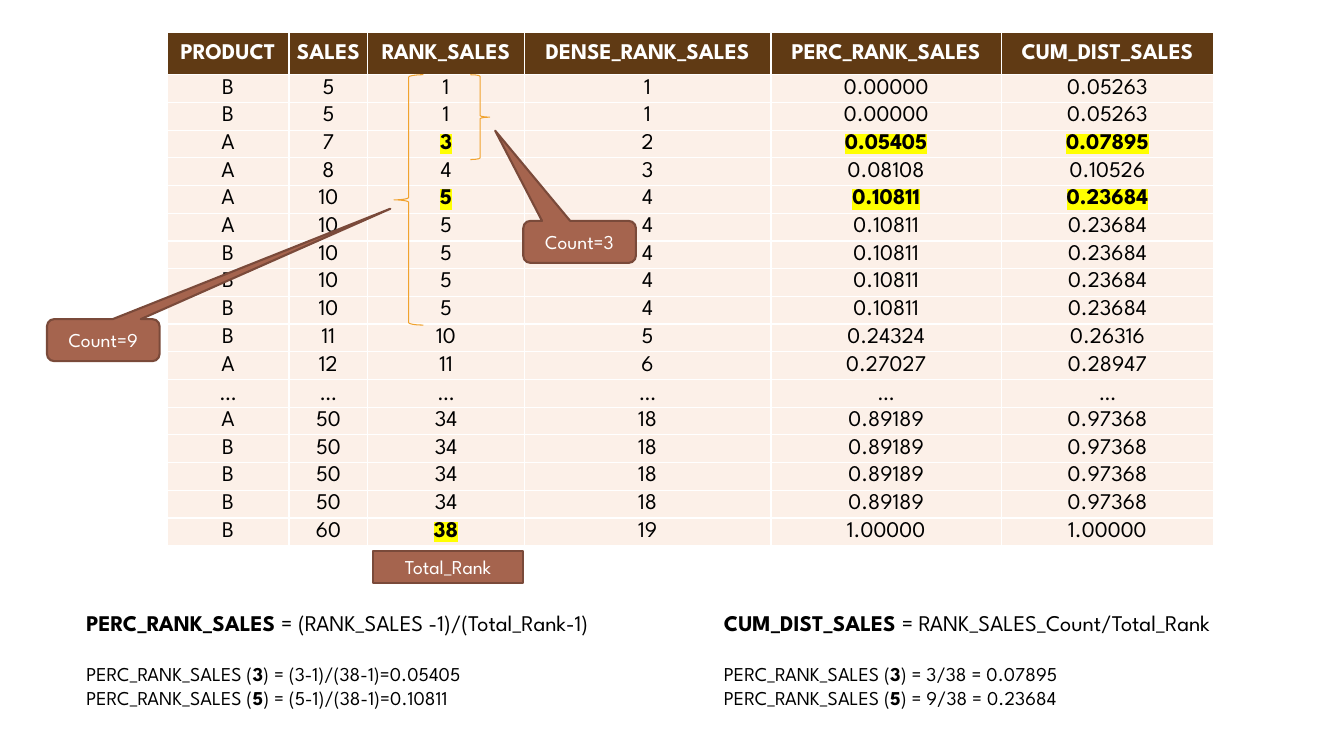
from lxml import etree
from pptx import Presentation
from pptx import util as u
from pptx.dml.color import RGBColor
from pptx.enum import shapes, text
from pptx.oxml.ns import qn

GRID_COLUMNS, GRID_ROWS = 160, 90
BROWN, CREAM, RUST, RUST_EDGE = "603A14", "FCF0E8", "A5644E", "7A4A3A"
ORANGE, YELLOW, BLACK, WHITE = "F0A22E", "FFFF00", "000000", "FFFFFF"

RANKINGS = [line.split() for line in """\
PRODUCT SALES RANK_SALES DENSE_RANK_SALES PERC_RANK_SALES CUM_DIST_SALES
B 5 1 1 0.00000 0.05263
B 5 1 1 0.00000 0.05263
A 7 3 2 0.05405 0.07895
A 8 4 3 0.08108 0.10526
A 10 5 4 0.10811 0.23684
A 10 5 4 0.10811 0.23684
B 10 5 4 0.10811 0.23684
B 10 5 4 0.10811 0.23684
B 10 5 4 0.10811 0.23684
B 11 10 5 0.24324 0.26316
A 12 11 6 0.27027 0.28947
… … … … … …
A 50 34 18 0.89189 0.97368
B 50 34 18 0.89189 0.97368
B 50 34 18 0.89189 0.97368
B 50 34 18 0.89189 0.97368
B 60 38 19 1.00000 1.00000""".splitlines()]
HIGHLIGHTED = {(3, 2), (3, 4), (3, 5), (5, 2), (5, 4), (5, 5), (17, 2)}
COLUMN_WIDTHS = [14.5, 9.4, 18.6, 29.4, 27.4, 25.3]
HEADER_HEIGHT, ROW_HEIGHT = 5, 3.3


def color(hex_string):
    return RGBColor.from_string(hex_string)


def add_fill_xml(parent, tag, hex_string, **attributes):
    """Append a child element that holds a colour, and return it."""
    element = etree.SubElement(parent, qn(tag), attributes)
    etree.SubElement(element, qn("a:srgbClr"), val=hex_string)
    return element


class Canvas:
    font_name = "League Spartan"

    def __init__(self, presentation):
        self.column = presentation.slide_width / GRID_COLUMNS
        self.row = presentation.slide_height / GRID_ROWS
        self.slide = presentation.slides.add_slide(presentation.slide_layouts[6])

    def box(self, left, top, width, height):
        """Turn grid units into slide lengths."""
        return (round(left * self.column), round(top * self.row),
                round(width * self.column), round(height * self.row))

    def style(self, paragraph, size, hex_string, bold=None, font_name=None,
              align=text.PP_ALIGN.CENTER):
        paragraph.alignment = align
        font = paragraph.font
        font.size, font.bold = u.Pt(size), bold
        font.name = font_name or self.font_name
        font.color.rgb = color(hex_string)

    def table(self, left, top, rows, widths, highlighted):
        height = HEADER_HEIGHT + ROW_HEIGHT * (len(rows) - 1)
        frame = self.slide.shapes.add_table(
            len(rows), len(widths), *self.box(left, top, sum(widths), height))
        table = frame.table
        for column, width in zip(table.columns, widths):
            column.width = round(width * self.column)
        for i, values in enumerate(rows):
            row_height = ROW_HEIGHT if i else HEADER_HEIGHT
            table.rows[i].height = round(row_height * self.row)
            for j, value in enumerate(values):
                self.cell(table.cell(i, j), value, i == 0, (i, j) in highlighted)

    def cell(self, cell, value, is_header, is_highlighted):
        cell.margin_left = cell.margin_right = cell.margin_top = cell.margin_bottom = 0
        cell.vertical_anchor = text.MSO_ANCHOR.MIDDLE
        properties = cell._tc.get_or_add_tcPr()
        for side in "LRTB":
            border = etree.SubElement(properties, qn(f"a:ln{side}"), w=str(u.Pt(1)))
            add_fill_xml(border, "a:solidFill", WHITE)
        cell.fill.solid()
        cell.fill.fore_color.rgb = color(BROWN if is_header else CREAM)
        paragraph = cell.text_frame.paragraphs[0]
        run = paragraph.add_run()
        run.text = value
        self.style(paragraph, 16, WHITE if is_header else BLACK,
                   bold=is_header or is_highlighted,
                   font_name="Calibri" if value == "…" else None)
        if is_highlighted:
            add_fill_xml(run._r.get_or_add_rPr(), "a:highlight", YELLOW)

    def shape(self, kind, place, line, line_width, fill=None, label="", adjustments=()):
        shape = self.slide.shapes.add_shape(kind, *self.box(*place))
        shape.shadow.inherit = False
        for i, adjustment in enumerate(adjustments):
            shape.adjustments[i] = adjustment
        shape.line.color.rgb = color(line)
        shape.line.width = u.Pt(line_width)
        if fill:
            shape.fill.solid()
            shape.fill.fore_color.rgb = color(fill)
        else:
            shape.fill.background()
        if label:
            shape.text_frame.text = label
            shape.text_frame.vertical_anchor = text.MSO_ANCHOR.MIDDLE
            self.style(shape.text_frame.paragraphs[0], 14, WHITE)

    def brace(self, kind, *place):
        self.shape(kind, place, ORANGE, 0.75)

    def label(self, kind, place, label, adjustments=()):
        self.shape(kind, place, RUST_EDGE, 1.5, RUST, label, adjustments)

    def formula(self, place, lines):
        """Write a heading and its examples; ** switches bold on and off."""
        frame = self.slide.shapes.add_textbox(*self.box(*place)).text_frame
        frame.word_wrap = True
        for i, line in enumerate(lines):
            paragraph = frame.add_paragraph() if i else frame.paragraphs[0]
            for j, part in enumerate(line.split("**")):
                if part:
                    run = paragraph.add_run()
                    run.text = part
                    run.font.bold = j % 2 == 1
            if i == 1:
                paragraph.space_before = u.Pt(19)
            self.style(paragraph, 14 if i else 16, BLACK, align=text.PP_ALIGN.LEFT)


def main():
    presentation = Presentation()
    presentation.slide_width, presentation.slide_height = u.Inches(13.33), u.Inches(7.5)
    canvas = Canvas(presentation)
    preset = shapes.MSO_SHAPE

    canvas.table(19.9, 3.9, RANKINGS, COLUMN_WIDTHS, HIGHLIGHTED)
    canvas.formula((9.1, 71.9, 70.1, 16.6), [
        "**PERC_RANK_SALES **= (RANK_SALES -1)/(Total_Rank-1)",
        "PERC_RANK_SALES (**3**) = (3-1)/(38-1)=0.05405",
        "PERC_RANK_SALES (**5**) = (5-1)/(38-1)=0.10811"])
    canvas.formula((85, 71.9, 67.8, 13.3), [
        "**CUM_DIST_SALES **= RANK_SALES_Count/Total_Rank",
        "PERC_RANK_SALES (**3**) = 3/38 = 0.07895",
        "PERC_RANK_SALES (**5**) = 9/38 = 0.23684"])

    canvas.brace(preset.LEFT_BRACE, 46.9, 8.9, 3.5, 29.8)
    canvas.brace(preset.RIGHT_BRACE, 56, 8.9, 2.3, 10.1)
    callout = preset.ROUNDED_RECTANGULAR_CALLOUT
    canvas.label(callout, (62.3, 26.3, 13.4, 5), "Count=3", (-0.75, -2.65, 0.17))
    canvas.label(callout, (5.6, 38, 13.4, 5), "Count=9", (2.55, -3.13, 0.17))
    canvas.label(preset.RECTANGLE, (44.4, 65.6, 17.9, 3.8), "Total_Rank")

    presentation.save("out.pptx")


if __name__ == "__main__":
    main()
